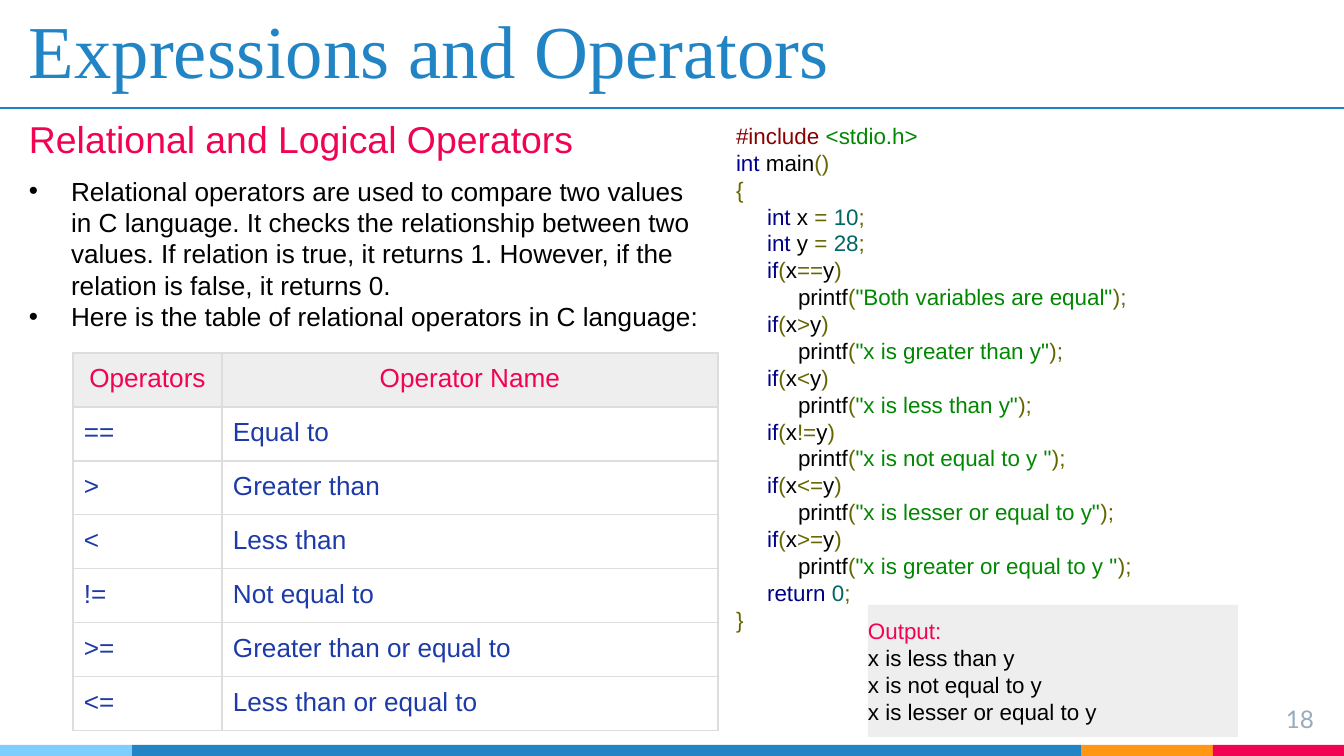
from lxml import etree
from pptx import Presentation
from pptx import util as u
from pptx.dml.color import RGBColor
from pptx.enum import shapes, text
from pptx.oxml import ns

SCALE = 914400 / 134.4
BLUE = RGBColor(0x21, 0x85, 0xC5)
RULE = RGBColor(0x1C, 0x83, 0xC5)
SKY = RGBColor(0x7E, 0xCE, 0xFD)
GOLD = RGBColor(0xFF, 0x97, 0x15)
PINK = RGBColor(0xF2, 0x02, 0x53)
SLATE = RGBColor(0x97, 0xAB, 0xBC)
BLACK = RGBColor(0x00, 0x00, 0x00)
WHITE = RGBColor(0xFF, 0xFF, 0xFF)
PALE = RGBColor(0xEE, 0xEE, 0xEE)
GRID = RGBColor(0xDD, 0xDD, 0xDD)
ROYAL = RGBColor(0x1C, 0x3A, 0xA9)
MAROON = RGBColor(0x88, 0x00, 0x00)
GREEN = RGBColor(0x00, 0x88, 0x00)
NAVY = RGBColor(0x00, 0x00, 0x88)
OLIVE = RGBColor(0x66, 0x66, 0x00)
TEAL = RGBColor(0x00, 0x66, 0x66)

LEFT = text.PP_ALIGN.LEFT
MID = text.PP_ALIGN.CENTER
RIGHT = text.PP_ALIGN.RIGHT
TOP = text.MSO_ANCHOR.TOP
CENTER = text.MSO_ANCHOR.MIDDLE
BASE = text.MSO_ANCHOR.BOTTOM


def px(count):
    return u.Emu(round(count * SCALE))


def apply(item, **values):
    for key, value in values.items():
        setattr(item, key, value)


class Deck:
    def __init__(self, wide, high):
        self.file = Presentation()
        apply(self.file, slide_width=px(wide), slide_height=px(high))
        self.slide = self.file.slides.add_slide(self.file.slide_layouts[1])
        self.font = "Arial"

    def put(self, frame, lines, size, font=None, align=LEFT, pitch=None):
        for row, runs in enumerate(lines):
            para = frame.paragraphs[0] if row == 0 else frame.add_paragraph()
            apply(para, alignment=align, space_before=u.Pt(0))
            if pitch:
                para.line_spacing = u.Pt(pitch)
            for words, color in runs:
                run = para.add_run()
                run.text = words
                apply(run.font, size=u.Pt(size), name=font or self.font)
                run.font.color.rgb = color

    def fit(self, shape, side, edge, anchor):
        apply(shape.text_frame, word_wrap=True, vertical_anchor=anchor,
              auto_size=text.MSO_AUTO_SIZE.NONE,
              margin_left=px(side), margin_right=px(side),
              margin_top=px(edge), margin_bottom=px(edge))
        return shape.text_frame

    def holder(self, index, box, lines, size, edge=7, anchor=TOP, **style):
        shape = self.slide.placeholders[index]
        apply(shape, **dict(zip(("left", "top", "width", "height"), map(px, box))))
        frame = self.fit(shape, 13, edge, anchor)
        self.put(frame, lines, size, **style)
        return frame

    def label(self, box, lines, size, side=13, edge=7, anchor=TOP, **style):
        shape = self.slide.shapes.add_textbox(*map(px, box))
        self.put(self.fit(shape, side, edge, anchor), lines, size, **style)

    def block(self, box, color):
        shape = self.slide.shapes.add_shape(shapes.MSO_SHAPE.RECTANGLE, *map(px, box))
        shape.shadow.inherit = False
        shape.fill.solid()
        shape.fill.fore_color.rgb = color
        shape.line.fill.background()
        return shape

    def panel(self, box, color, lines, size, **style):
        frame = self.fit(self.block(box, color), 0, 12, CENTER)
        self.put(frame, lines, size, **style)

    def rule(self, start, end, color):
        line = self.slide.shapes.add_connector(
            shapes.MSO_CONNECTOR.STRAIGHT, *map(px, start + end))
        line.line.color.rgb = color
        line.line.width = u.Pt(0.75)
        etree.SubElement(line.element.spPr, ns.qn("a:effectLst"))

    def border(self, cell):
        props = cell._tc.get_or_add_tcPr()
        for spot, side in enumerate(("lnL", "lnR", "lnT", "lnB")):
            line = etree.Element(ns.qn("a:" + side), w=str(u.Pt(0.75)))
            fill = etree.SubElement(line, ns.qn("a:solidFill"))
            etree.SubElement(fill, ns.qn("a:srgbClr"), val=str(GRID))
            props.insert(spot, line)

    def table(self, left, top, widths, high, rows, size):
        grid = self.slide.shapes.add_table(
            len(rows), len(widths), px(left), px(top),
            px(sum(widths)), px(high * len(rows))).table
        apply(grid, first_row=False, horz_banding=False)
        for column, width in zip(grid.columns, widths):
            column.width = px(width)
        for at, row in enumerate(rows):
            grid.rows[at].height = px(high)
            fill, color, align = (WHITE, ROYAL, LEFT) if at else (PALE, PINK, MID)
            for cell, words in zip(grid.rows[at].cells, row):
                apply(cell, **{"margin_" + side: px(11)
                               for side in ("left", "right", "top", "bottom")})
                cell.fill.solid()
                cell.fill.fore_color.rgb = fill
                self.border(cell)
                self.put(cell.text_frame, [[(words, color)]], size, align=align)


BARS = [(1081, 132, GOLD), (1213, 131, PINK), (0, 132, SKY), (132, 949, BLUE)]
POINTS = [
    "Relational operators are used to compare two values in C language. "
    "It checks the relationship between two values. If relation is true, "
    "it returns 1. However, if the relation is false, it returns 0.",
    "Here is the table of relational operators in C language:",
]
ROWS = [
    ("Operators", "Operator Name"),
    ("==", "Equal to"),
    (">", "Greater than"),
    ("<", "Less than"),
    ("!=", "Not equal to"),
    (">=", "Greater than or equal to"),
    ("<=", "Less than or equal to"),
]
TESTS = [
    ("==", "Both variables are equal"),
    (">", "x is greater than y"),
    ("<", "x is less than y"),
    ("!=", "x is not equal to y "),
    ("<=", "x is lesser or equal to y"),
    (">=", "x is greater or equal to y "),
]
RESULT = ["x is less than y", "x is not equal to y", "x is lesser or equal to y"]


def code():
    lines = [
        [("#include ", MAROON), ("<stdio.h>", GREEN)],
        [("int", NAVY), (" main", BLACK), ("()", OLIVE)],
        [("{", OLIVE)],
    ]
    for name, value in (("x", "10"), ("y", "28")):
        lines.append([("     int", NAVY), (f" {name} ", BLACK), ("= ", OLIVE),
                      (value, TEAL), (";", OLIVE)])
    for sign, words in TESTS:
        lines.append([("     if", NAVY), ("(", OLIVE), ("x", BLACK),
                      (sign, OLIVE), ("y", BLACK), (")", OLIVE)])
        lines.append([("          printf", BLACK), ("(", OLIVE),
                      (f'"{words}"', GREEN), (");", OLIVE)])
    lines.append([("     return ", NAVY), ("0", TEAL), (";", OLIVE)])
    lines.append([("}", OLIVE)])
    return lines


def main():
    deck = Deck(1344, 756)
    for left, width, color in BARS:
        deck.block((left, 745, width, 11), color)
    deck.holder(0, (16, 13, 1301, 93), [[("Expressions and Operators", BLUE)]], 40,
                edge=13, anchor=BASE, font="Times New Roman")
    deck.label((1246, 691, 81, 46), [[("18", SLATE)]], 13, edge=13,
               font="Lato", align=RIGHT)
    deck.rule((0, 108), (1344, 108), RULE)
    deck.label((16, 109, 577, 59), [[("Relational and Logical Operators", PINK)]], 20)
    body = deck.holder(1, (16, 168, 702, 172), [[(words, BLACK)] for words in POINTS],
                       14, pitch=16.8)
    for para in body.paragraphs:
        props = para._p.get_or_add_pPr()
        props.set("marL", str(px(42)))
        props.set("indent", str(-px(42)))
    deck.table(73, 353, (149, 496), 54, ROWS, 14)
    deck.label((736, 108, 595, 539), code(), 12, side=0, edge=12,
               anchor=CENTER, pitch=14.4)
    lines = [[("Output:", PINK)]] + [[(words, BLACK)] for words in RESULT]
    deck.panel((868, 605, 370, 132), PALE, lines, 12, pitch=14.4)
    deck.file.save("out.pptx")


if __name__ == "__main__":
    main()
